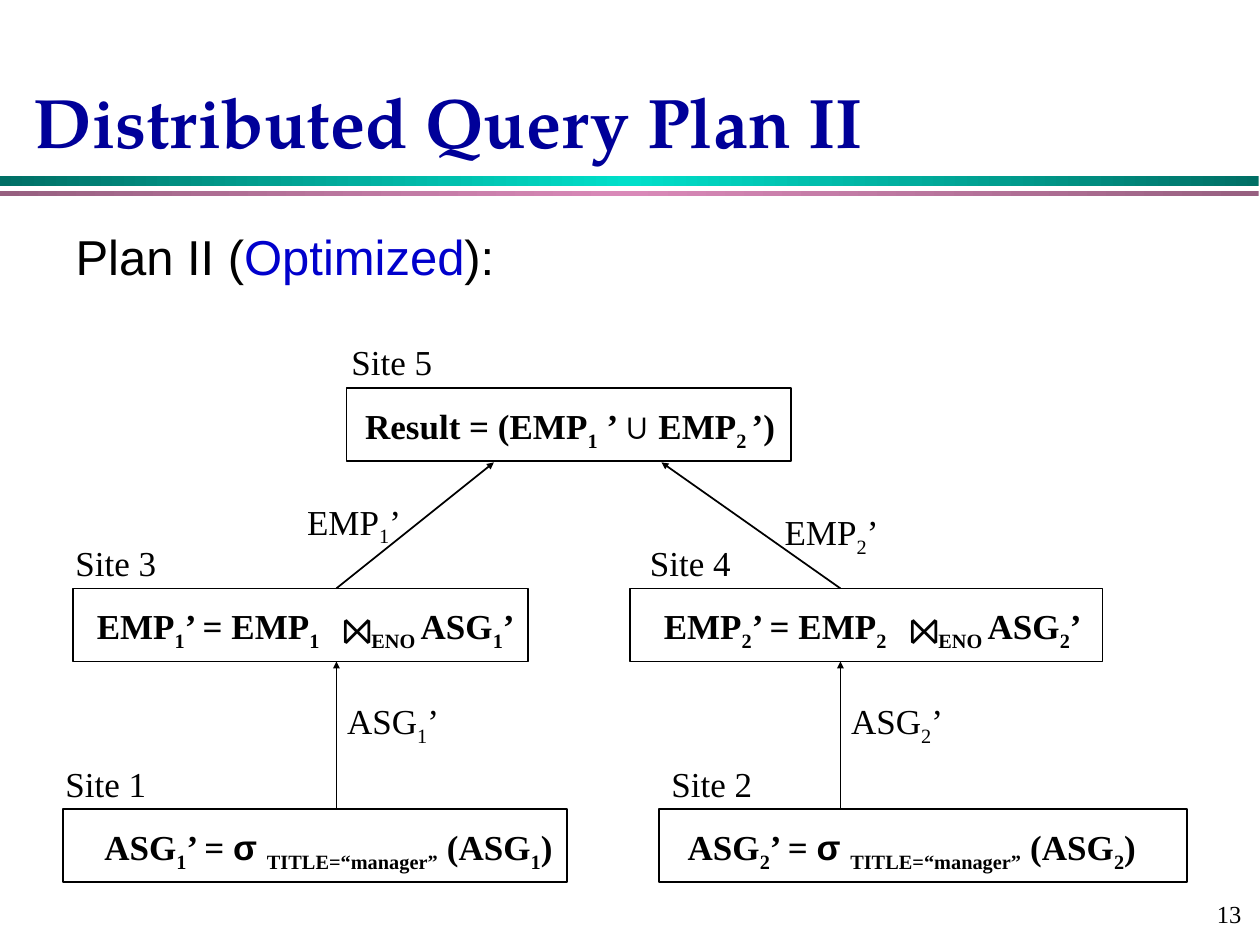
from copy import deepcopy

from pptx import Presentation
from pptx.dml.color import RGBColor
from pptx.enum.shapes import MSO_CONNECTOR as CONN, MSO_SHAPE as SHAPE
from pptx.enum.text import MSO_ANCHOR as ANCHOR, PP_ALIGN as ALIGN
from pptx.oxml.ns import qn
from pptx.util import Inches, Pt

COLORS = {
    "black": "000000", "title": "000099", "accent": "0000CC",
    "teal": "006F65", "aqua": "00DFCA", "plum": "976080", "pink": "D989B8",
}
SERIF, SANS, DISPLAY = "Times New Roman", "Arial", "TeX Gyre Pagella"
BOX_H = 0.58
JOIN_TAB = 2.18
EDGE_LABEL_W = 1.1
RESULT = "Result = (EMP|_1| ’ |~∪| EMP|_2 |’)"
JOIN = "EMP|_{n}|’ = EMP|_{n}\tENO |ASG|_{n}|’"
SELECT = "ASG|_{n}|’ = |~σ |_TITLE=“manager”| (ASG|_{n}|)"


def rgb(name):
    """Return the named colour."""
    return RGBColor.from_string(COLORS[name])


def add_rule(s, top, height, edge, middle):
    """Add a full-width band that shades from edge to middle and back."""
    sp = s.shapes.add_shape(SHAPE.RECTANGLE, 0, Inches(top), Inches(9.99), Inches(height))
    sp.shadow.inherit = False
    sp.line.fill.background()
    sp.fill.gradient()
    sp.fill.gradient_angle = 0
    first, second = sp.fill.gradient_stops
    first.color.rgb, second.color.rgb = rgb(edge), rgb(middle)
    second.position = 0.5
    stops = sp._element.spPr.find(".//" + qn("a:gsLst"))
    last = deepcopy(stops[0])
    last.set("pos", "100000")
    stops.append(last)


def add_run(p, text, color="black", subscript=False, **font):
    """Add a run with the given font values."""
    r = p.add_run()
    r.text = text
    values = {"size": Pt(20), "name": SERIF, **font}
    for key, value in values.items():
        setattr(r.font, key, value)
    r.font.color.rgb = rgb(color)
    if subscript:
        r.font._element.set("baseline", "-25000")


def add_text(s, at, align=ALIGN.LEFT, wrap=True, **frame):
    """Add a text box and return its paragraph."""
    tf = s.shapes.add_textbox(*map(Inches, at)).text_frame
    for key, value in {"word_wrap": wrap, **frame}.items():
        setattr(tf, key, value)
    p = tf.paragraphs[0]
    p.alignment = align
    return p


def add_marked(p, marked, bold=False):
    """Add runs split at bars, where _ marks a subscript and ~ the sans font."""
    for part in marked.split("|"):
        add_run(p, part.lstrip("_~"), subscript=part.startswith("_"),
                name=SANS if part.startswith("~") else SERIF, bold=bold)


def add_label(s, left, top, width, marked):
    """Add a centred label that does not wrap."""
    add_marked(add_text(s, (left, top, width, 0.48), ALIGN.CENTER, False), marked)


def add_site(s, number, label_at, box, text_left, formula):
    """Add a site's outlined box with its label and formula."""
    left, top, width = box
    sp = s.shapes.add_shape(SHAPE.RECTANGLE, *map(Inches, (left, top, width, BOX_H)))
    sp.shadow.inherit = False
    sp.fill.background()
    sp.line.color.rgb, sp.line.width = rgb("black"), Pt(1)
    add_label(s, *label_at, 0.84, f"Site {number}")
    p = add_text(s, (text_left, top + 0.08, 3.9, 0.48))
    add_marked(p, formula, bold=True)
    if "\t" in formula:
        pPr = p._p.get_or_add_pPr()
        tabs = pPr.makeelement(qn("a:tabLst"), {})
        tabs.append(tabs.makeelement(qn("a:tab"), {"pos": str(Inches(JOIN_TAB)), "algn": "l"}))
        pPr.append(tabs)


def add_join(s, left):
    """Add a join symbol in a site's formula."""
    add_run(add_text(s, (left, 4.68, 0.67, 0.57), ALIGN.CENTER), "⋈", size=Pt(28))


def add_arrow(s, start, end):
    """Add a line with a small arrowhead at its end."""
    cn = s.shapes.add_connector(CONN.STRAIGHT, *map(Inches, start + end))
    cn.line.color.rgb, cn.line.width = rgb("black"), Pt(1)
    ln = cn.line._get_or_add_ln()
    head = {"type": "triangle", "w": "sm", "len": "sm"}
    ln.append(ln.makeelement(qn("a:tailEnd"), head))
    spPr = cn._element.spPr
    spPr.append(spPr.makeelement(qn("a:effectLst"), {}))


def add_headings(s):
    """Add the title, the plan line and the page number."""
    p = add_text(s, (0.17, 0.42, 9.83, 1.08), vertical_anchor=ANCHOR.MIDDLE)
    add_run(p, "Distributed Query Plan II", "title", size=Pt(40), name=DISPLAY, bold=True)
    p = add_text(s, (0, 1.75, 8.92, 3.37), margin_left=Inches(0.6))
    for text, color in (("Plan II (", "black"), ("Optimized", "accent"), ("):", "black")):
        add_run(p, text, color, size=Pt(28), name=SANS)
    p = add_text(s, (7.87, 7, 2.08, 0.5), ALIGN.RIGHT, vertical_anchor=ANCHOR.MIDDLE)
    add_run(p, "13", size=Pt(14))


def main():
    """Build the slide and save it."""
    prs = Presentation()
    prs.slide_width, prs.slide_height = Inches(10), Inches(7.5)
    s = prs.slides.add_slide(prs.slide_layouts[6])
    add_rule(s, 1.4, 0.08, "teal", "aqua")
    add_rule(s, 1.52, 0.04, "plum", "pink")
    add_headings(s)

    one, two = SELECT.format(n=1), SELECT.format(n=2)
    three, four = JOIN.format(n=1), JOIN.format(n=2)
    add_site(s, 1, (0.42, 6), (0.5, 6.42, 4), 0.73, one)
    add_site(s, 2, (5.23, 6), (5.23, 6.42, 4.19), 5.36, two)
    add_site(s, 3, (0.5, 4.25), (0.58, 4.67, 3.61), 0.67, three)
    add_site(s, 4, (5.06, 4.25), (5, 4.67, 3.75), 5.17, four)
    add_site(s, 5, (2.69, 2.65), (2.75, 3.08, 3.53), 2.8, RESULT)

    branches = ((1, 2.67, 3.92, (2.26, 3.92)), (2, 6.67, 5.25, (6.05, 4)))
    for n, x, result_x, emp_at in branches:
        add_arrow(s, (x, 6.42), (x, 5.25))
        add_arrow(s, (x, 4.67), (result_x, 3.67))
        add_label(s, x - 0.1, 5.5, EDGE_LABEL_W, f"ASG|_{n}|’")
        add_label(s, *emp_at, EDGE_LABEL_W, f"EMP|_{n}|’")
    for left in (2.5, 7):
        add_join(s, left)
    prs.save("out.pptx")


if __name__ == "__main__":
    main()
